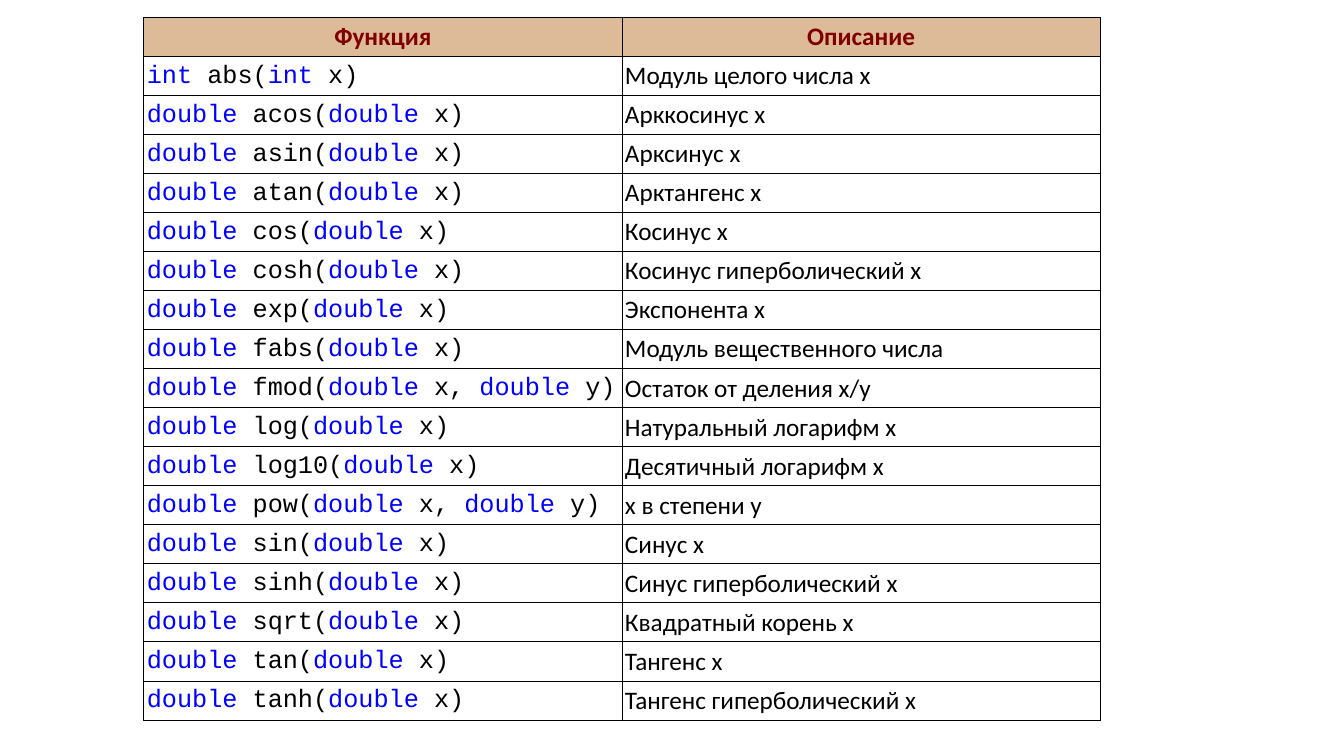
from lxml import etree
from pptx import Presentation
from pptx.dml.color import RGBColor
from pptx.enum.text import MSO_ANCHOR, PP_ALIGN
from pptx.oxml.ns import qn
from pptx.util import Pt

MIDDLE = MSO_ANCHOR.MIDDLE
LEFT, CENTER = PP_ALIGN.LEFT, PP_ALIGN.CENTER
NBSP = chr(160)

# Content
HEADS = ("Функция", "Описание")
ROWS = [
    ("int abs(int x)", "Модуль целого числа x"),
    ("double acos(double x)", "Арккосинус x"),
    ("double asin(double x)", "Арксинус x"),
    ("double atan(double x)", "Арктангенс x"),
    ("double cos(double x)", "Косинус x"),
    ("double cosh(double x)", "Косинус гиперболический x"),
    ("double exp(double x)", "Экспонента x"),
    ("double fabs(double x)", "Модуль вещественного числа"),
    ("double fmod(double x, double y)", "Остаток от деления x/y"),
    ("double log(double x)", "Натуральный логарифм x"),
    ("double log10(double x)", "Десятичный логарифм x"),
    ("double pow(double x, double y)", "x в степени y"),
    ("double sin(double x)", "Синус x"),
    ("double sinh(double x)", "Синус гиперболический x"),
    ("double sqrt(double x)", "Квадратный корень x"),
    ("double tan(double x)", "Тангенс x"),
    ("double tanh(double x)", "Тангенс гиперболический x"),
]

# Theme and layout
THEME = {
    "head": {"name": "Calibri", "bold": True, "color": "800000"},
    "type": {"name": "Courier New", "bold": False, "color": "0000FF"},
    "code": {"name": "Courier New", "bold": False, "color": "000000"},
    "text": {"name": "Calibri", "bold": False, "color": "000000"},
    "size": Pt(18),
    "band": "DDBB99",
    "page": "FFFFFF",
    "rule": "000000",
}
SLIDE = (960, 540)
X, Y = 102.7, 12.7
COL, ROW = 341.6, 27.88
PAD, EDGE = 2.16, 0.75
CELL = {"vertical_anchor": MIDDLE}
CELL.update({"margin_" + side: Pt(PAD)
             for side in ("left", "right", "top", "bottom")})


def code_runs(code):
    """Split a signature into its type words and the code between them."""
    kind = code.split()[0]
    for tail in code.split(kind)[1:]:
        yield kind, "type"
        yield tail.replace(" ", NBSP), "code"


def add_rules(cell):
    props = cell._tc.get_or_add_tcPr()
    for side in ("lnL", "lnR", "lnT", "lnB"):
        line = etree.SubElement(props, qn("a:" + side), w=str(Pt(EDGE)))
        fill = etree.SubElement(line, qn("a:solidFill"))
        etree.SubElement(fill, qn("a:srgbClr"), val=THEME["rule"])


def fill_cell(cell, runs, back, align):
    for key, value in CELL.items():
        setattr(cell, key, value)
    add_rules(cell)
    cell.fill.solid()
    cell.fill.fore_color.rgb = RGBColor.from_string(back)
    para = cell.text_frame.paragraphs[0]
    para.alignment = align
    for text, role in runs:
        run = para.add_run()
        run.text = text
        style = THEME[role]
        for key, value in (("name", style["name"]), ("bold", style["bold"]),
                           ("size", THEME["size"])):
            setattr(run.font, key, value)
        run.font.color.rgb = RGBColor.from_string(style["color"])


def main():
    deck = Presentation()
    deck.slide_width, deck.slide_height = map(Pt, SLIDE)
    slide = deck.slides.add_slide(deck.slide_layouts[6])

    # Table frame
    count, wide = len(ROWS) + 1, len(HEADS)
    table = slide.shapes.add_table(count, wide, Pt(X), Pt(Y),
                                   Pt(COL * wide), Pt(ROW * count)).table
    table.horz_banding = False
    for col in table.columns:
        col.width = Pt(COL)
    for row in table.rows:
        row.height = Pt(ROW)

    # Header row
    for col, head in enumerate(HEADS):
        fill_cell(table.cell(0, col), [(head, "head")], THEME["band"], CENTER)

    # Function rows
    for row, (code, note) in enumerate(ROWS, 1):
        for col, runs in enumerate((code_runs(code), [(note, "text")])):
            fill_cell(table.cell(row, col), runs, THEME["page"], LEFT)

    deck.save("out.pptx")


if __name__ == "__main__":
    main()
